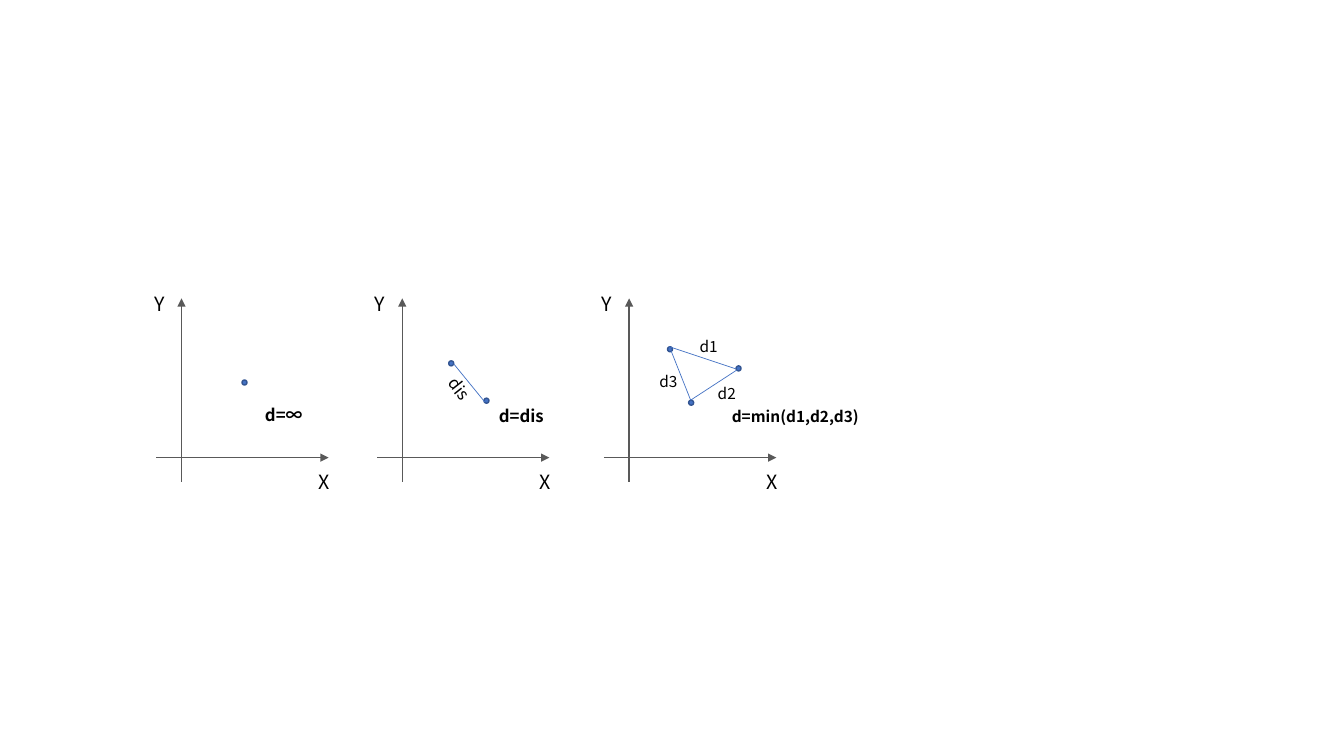
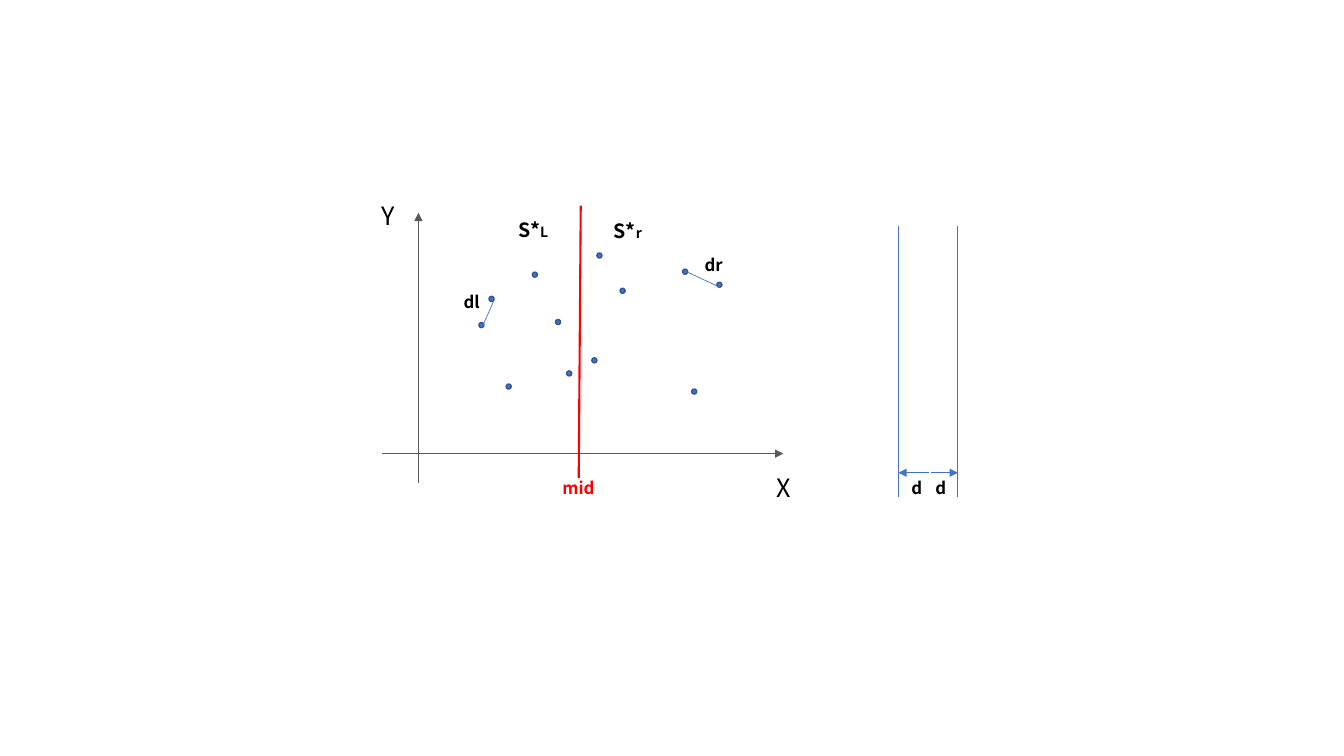
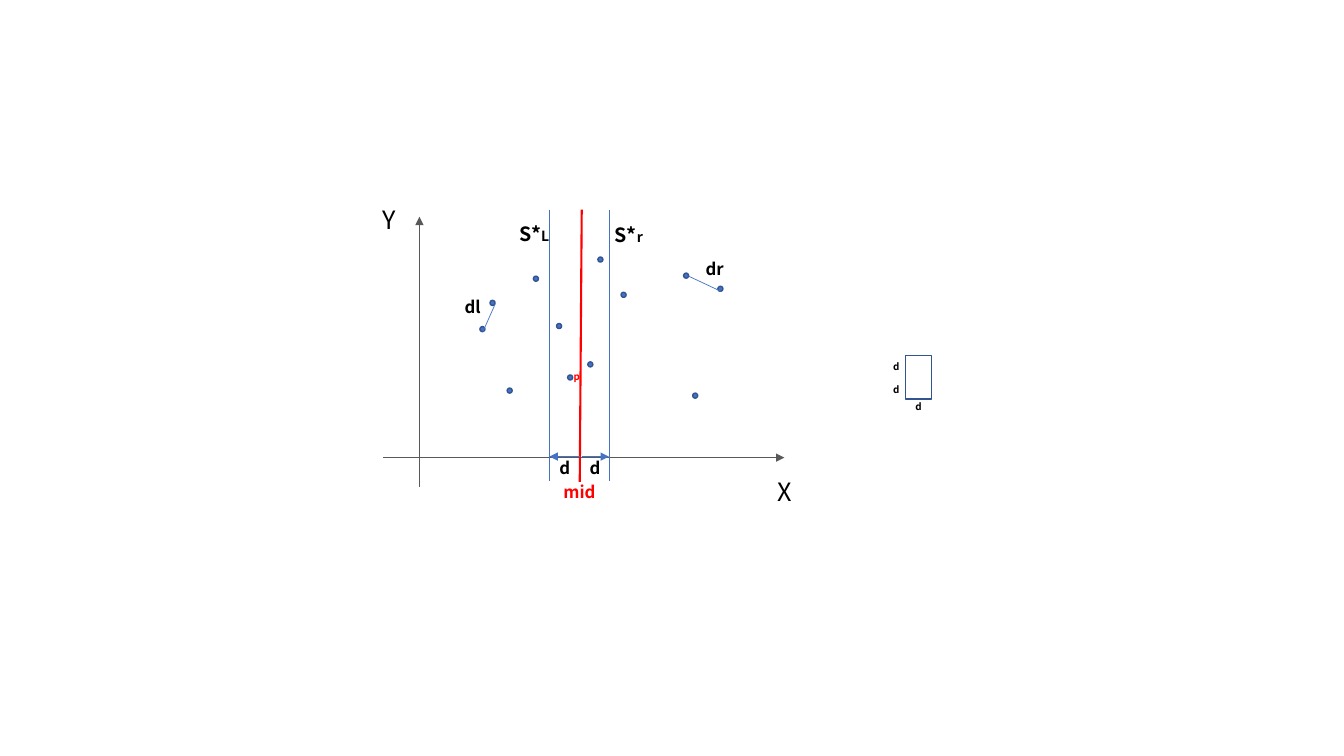
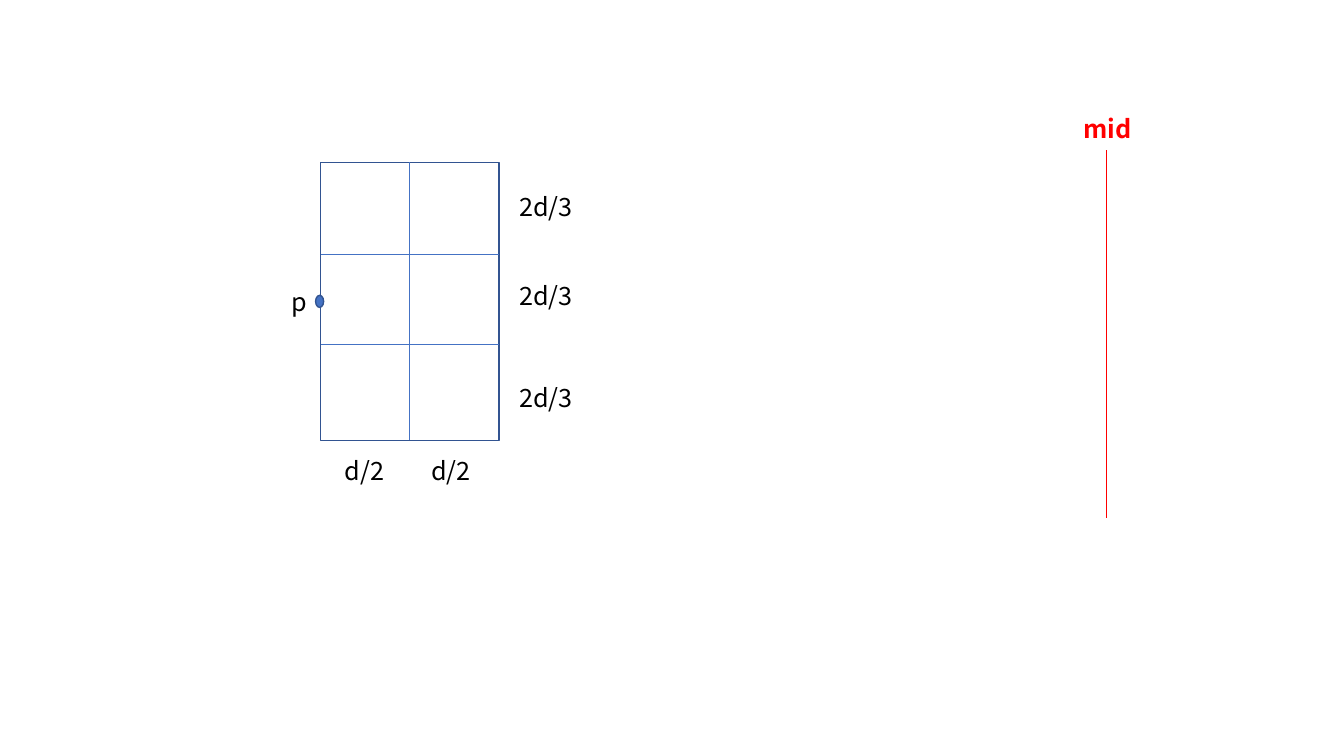
from pptx import Presentation
from pptx.dml.color import RGBColor
from pptx.enum.shapes import MSO_CONNECTOR, MSO_SHAPE
from pptx.enum.text import MSO_AUTO_SIZE
from pptx.oxml.ns import qn
from pptx.util import Inches, Pt
from lxml import etree

STRAIGHT = MSO_CONNECTOR.STRAIGHT
OVAL, RECT = MSO_SHAPE.OVAL, MSO_SHAPE.RECTANGLE
FIT_SHAPE = MSO_AUTO_SIZE.SHAPE_TO_FIT_TEXT

# Shared style
FONT = "Noto Sans CJK SC"
BLACK, RED, GREY = "000000", "FF0000", "595959"
BLUE, DARK_BLUE = "4472C4", "325491"
DOT = 0.05

# Slide 1: distance for one, two and three points
# Each case: axes offset, dots, segments, labels (text, left, top, width, size, bold, rotation)
CASES = [
    (0, [(2.4, 3.77)], [],
     [("d=∞", 2.53, 3.97, 0.84, 12, True, 0)]),
    (2.19, [(4.8, 3.95), (4.45, 3.58)], [(4.5, 3.61, 4.81, 3.99)],
     [("d=dis", 4.85, 3.98, 0.84, 12, True, 0),
      ("dis", 4.27, 3.87, 0.84, 12, False, 51.7)]),
    (4.44, [(7.3, 3.63), (6.62, 3.44), (6.83, 3.97)],
     [(6.64, 3.44, 6.85, 3.97), (6.64, 3.44, 7.3, 3.66), (6.85, 3.97, 7.31, 3.67)],
     [("d1", 6.84, 3.29, 0.62, 11, False, 0),
      ("d3", 6.44, 3.64, 0.62, 11, False, 0),
      ("d2", 7.02, 3.76, 0.62, 11, False, 0),
      ("d=min(d1,d2,d3)", 7.16, 3.99, 2.13, 11, True, 0)]),
]

# Slides 2 and 3: points divided by the middle line
LEFT_DOTS = [(4.75, 3.2), (4.85, 2.94), (5.51, 3.17), (5.62, 3.68),
             (5.28, 2.7), (5.02, 3.81)]
RIGHT_DOTS = [(6.15, 2.86), (6.77, 2.67), (5.92, 2.51), (6.86, 3.86), (7.11, 2.8)]
CLOSEST_PAIRS = [(4.9, 2.98, 4.78, 3.25), (6.82, 2.7, 7.14, 2.85)]
PLOT_LABELS = [("dr", 6.89, 2.48, 0.6), ("dl", 4.5, 2.85, 0.6), ("mid", 5.48, 4.69, 0.89)]
SIDE_LABELS = [("L", 5.04, 2.11), ("r", 5.99, 2.12)]

# Slide 3: small d by 2d box
BOX_LABELS = [(8.76, 3.76), (8.76, 3.53), (8.98, 3.93)]

# Slide 4: the box cut into six cells
GRID = (3.18, 1.61, 1.77, 2.76)
ROW_LINES = [2.52, 3.42]
COLUMN_LABELS = [3.32, 4.18]
ROW_LABELS = [1.85, 2.73, 3.74]


def rgb(value):
    return RGBColor.from_string(value)


def line(shapes, x1, y1, x2, y2, color=BLUE, width=0.5, arrow=False):
    c = shapes.add_connector(STRAIGHT, Inches(x1), Inches(y1), Inches(x2), Inches(y2))
    c.line.color.rgb = rgb(color)
    c.line.width = Pt(width)
    props = c.element.spPr
    if arrow:
        etree.SubElement(props.find(qn("a:ln")), qn("a:tailEnd"), type="triangle")
    etree.SubElement(props, qn("a:effectLst"))


def shape(shapes, kind, x, y, w, h, fill=None):
    sp = shapes.add_shape(kind, Inches(x), Inches(y), Inches(w), Inches(h))
    sp.shadow.inherit = False
    if fill:
        sp.fill.solid()
        sp.fill.fore_color.rgb = rgb(fill)
    else:
        sp.fill.background()
    sp.line.color.rgb = rgb(DARK_BLUE)
    sp.line.width = Pt(1)


def dots(shapes, places, dx=0, dy=0):
    for x, y in places:
        shape(shapes, OVAL, x + dx, y + dy, DOT, DOT, BLUE)


def text(shapes, words, x, y, w, size, bold=False, color=BLACK, rotation=0, suffix=None):
    height = round(0.1 + size * 0.0167, 2)
    sp = shapes.add_textbox(Inches(x), Inches(y), Inches(w), Inches(height))
    sp.rotation = rotation
    tf = sp.text_frame
    tf.word_wrap = True
    tf.auto_size = FIT_SHAPE
    p = tf.paragraphs[0]
    p.font.name = FONT
    p.font.size = Pt(size)
    p.font.bold = bold
    p.font.color.rgb = rgb(color)
    p.add_run().text = words
    if suffix:
        r = p.add_run()
        r.text = suffix
        r.font.size = Pt(10)


def axes(shapes, x_axis, y_axis, x_label, y_label, size):
    for ends in (x_axis, y_axis):
        line(shapes, *ends, GREY, 1, arrow=True)
    text(shapes, "X", *x_label, 0.73, size)
    text(shapes, "Y", *y_label, 0.73, size)


def divided_plot(shapes, dx, dy, near_mid):
    """Axes, points, closest pairs and the red middle line."""
    axes(shapes, (3.79 + dx, 4.5 + dy, 7.77 + dx, 4.5 + dy),
         (4.15 + dx, 4.79 + dy, 4.15 + dx, 2.11 + dy),
         (7.6 + dx, 4.64 + dy), (3.69 + dx, 1.94 + dy), 18)
    dots(shapes, LEFT_DOTS + RIGHT_DOTS + [near_mid], dx, dy)
    line(shapes, 5.76 + dx, 2.04 + dy, 5.74 + dx, 4.74 + dy, RED, 1.5)
    for x1, y1, x2, y2 in CLOSEST_PAIRS:
        line(shapes, x1 + dx, y1 + dy, x2 + dx, y2 + dy)
    for words, x, y, w in PLOT_LABELS:
        text(shapes, words, x + dx, y + dy, w, 12, True, RED if words == "mid" else BLACK)
    for side, x, y in SIDE_LABELS:
        text(shapes, "S*", x + dx, y + dy, 1.31, 14, True, suffix=side)


def strip(shapes, left, top, labels, label_top, label_width):
    """Two borders, each at distance d from the middle."""
    right, arrow_y = left + 0.59, top + 2.45
    for x in (left, right):
        line(shapes, x, top, x, top + 2.69)
    line(shapes, left + 0.3, arrow_y, left, arrow_y, arrow=True)
    line(shapes, left + 0.32, arrow_y, right, arrow_y, arrow=True)
    for x in labels:
        text(shapes, "d", x, label_top, label_width, 12, True)


prs = Presentation()
prs.slide_width, prs.slide_height = Inches(13.33), Inches(7.5)


def new_slide():
    return prs.slides.add_slide(prs.slide_layouts[6]).shapes


def group(shapes):
    return shapes.add_group_shape().shapes


# Slide 1
s = new_slide()
for dx, places, segments, labels in CASES:
    axes(s, (1.55 + dx, 4.54, 3.26 + dx, 4.54), (1.8 + dx, 4.78, 1.8 + dx, 2.96),
         (3.06 + dx, 4.61), (1.43 + dx, 2.85), 14)
    dots(s, places)
    for ends in segments:
        line(s, *ends)
    for words, x, y, w, size, bold, rotation in labels:
        text(s, words, x, y, w, size, bold, rotation=rotation)

# Slide 2
s = new_slide()
strip(group(s), 8.91, 2.24, (8.94, 9.18), 4.69, 0.25)
divided_plot(group(s), 0, 0, (5.87, 3.55))

# Slide 3
s = new_slide()
box = group(s)
shape(box, RECT, 8.98, 3.53, 0.26, 0.43)
for x, y in BOX_LABELS:
    text(box, "d", x, y, 0.23, 7, True)
plot = group(s)
divided_plot(plot, 0.01, 0.04, (5.82, 3.55))
strip(plot, 5.45, 2.08, (5.45, 5.75), 4.49, 0.5)
text(plot, "p", 5.59, 3.63, 0.22, 7, True, RED)

# Slide 4
s = new_slide()
middle = group(s)
line(middle, 10.97, 1.49, 10.97, 5.14, RED)
text(middle, "mid", 10.65, 1.08, 1.04, 18, True, RED)
cells = group(s)
left, top, width, height = GRID
shape(cells, RECT, *GRID)
shape(cells, OVAL, left - 0.05, 2.93, 0.08, 0.12, BLUE)
line(cells, left + width / 2, top, left + width / 2, top + height)
for y in ROW_LINES:
    line(cells, left, y, left + width, y)
text(cells, "p", 2.79, 2.79, 0.34, 18)
for x in COLUMN_LABELS:
    text(cells, "d/2", x, 4.47, 0.68, 18)
for y in ROW_LABELS:
    text(cells, "2d/3", 5.05, y, 0.93, 18)

prs.save("out.pptx")
